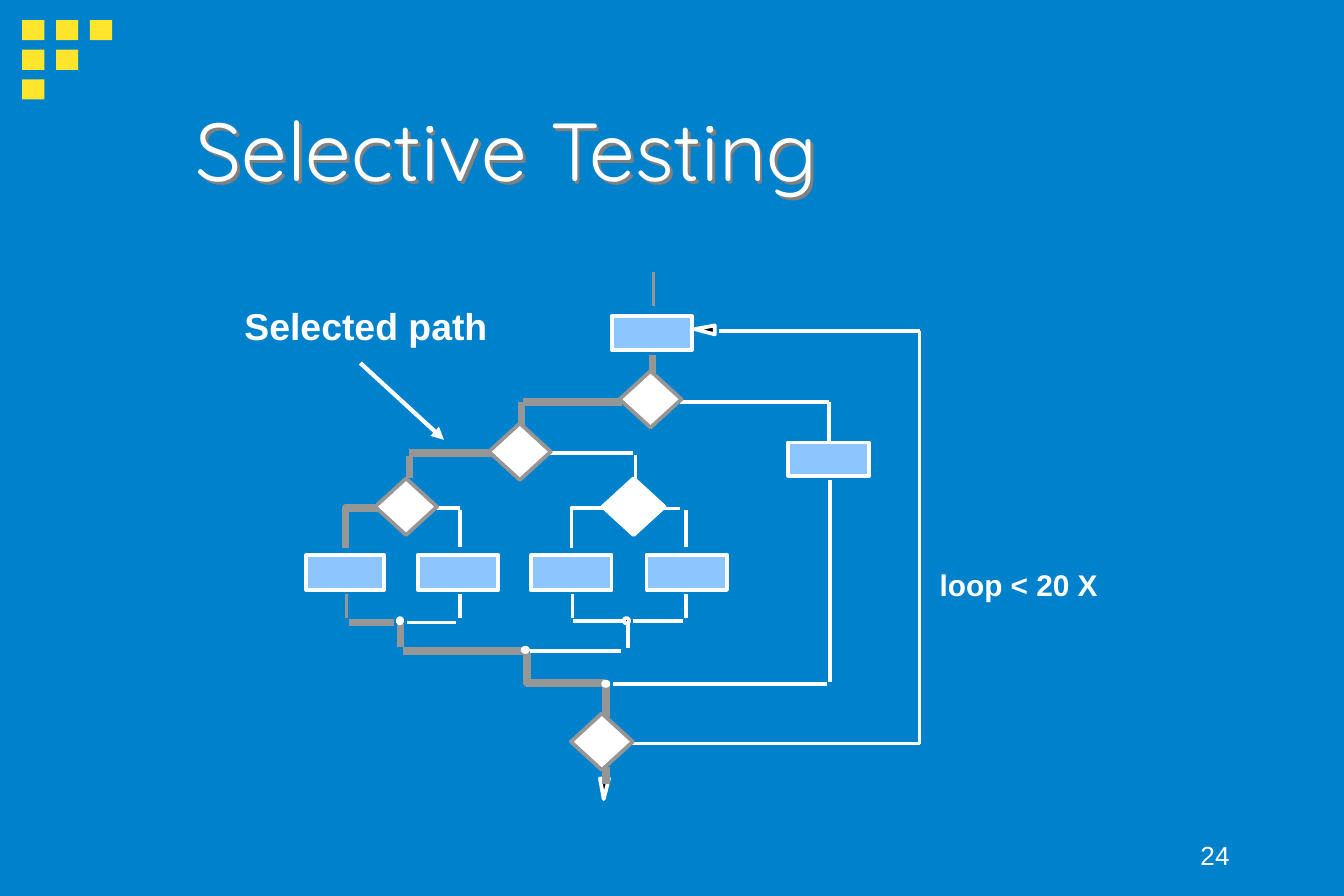
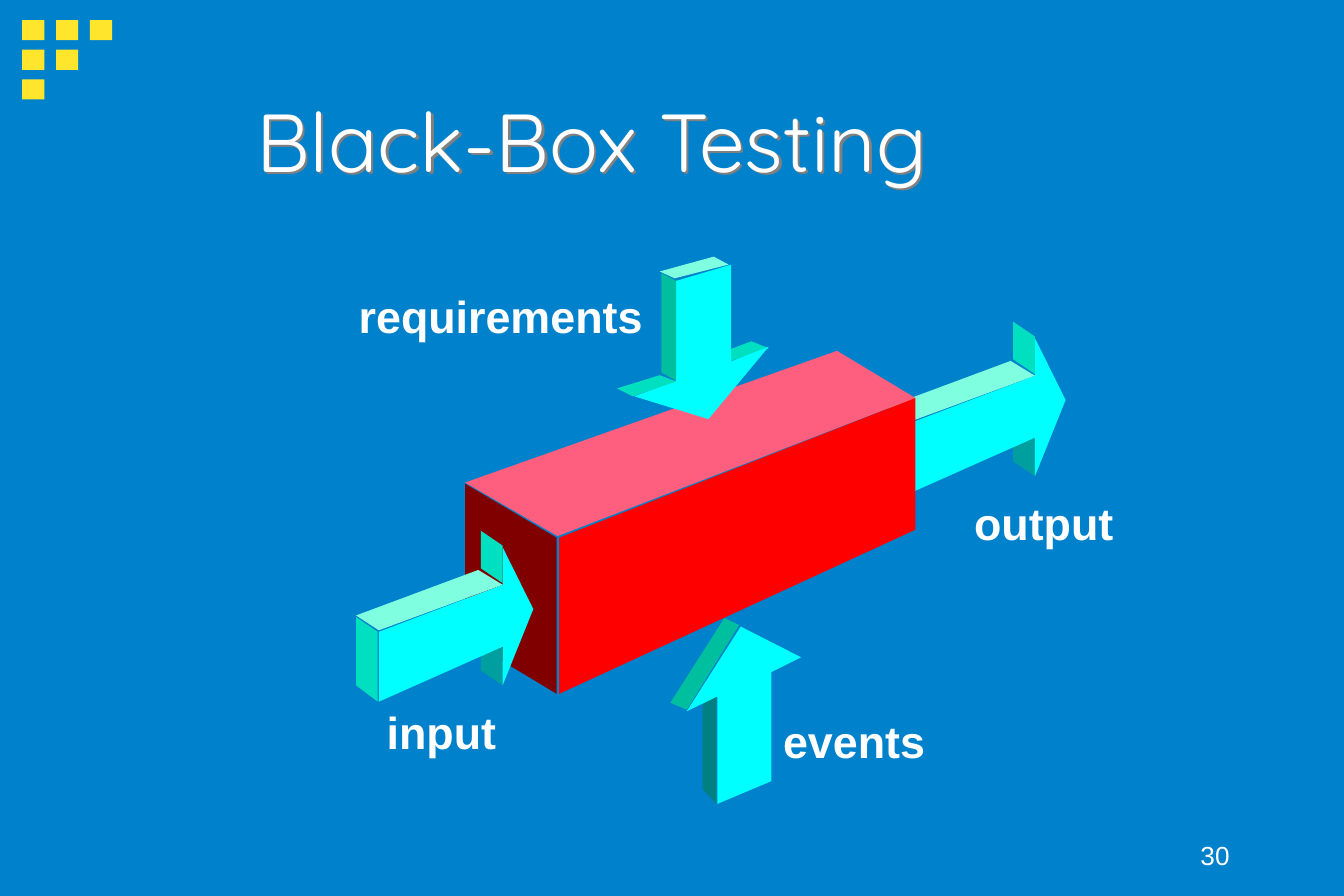
import lxml.etree
import pptx
import pptx.dml.color
import pptx.enum.shapes
import pptx.enum.text
import pptx.oxml.ns
import pptx.util

Cm = pptx.util.Cm
Pt = pptx.util.Pt
qn = pptx.oxml.ns.qn
SHAPE = pptx.enum.shapes.MSO_SHAPE
ANCHOR = pptx.enum.text.MSO_ANCHOR
ALIGN = pptx.enum.text.PP_ALIGN
AUTO_SIZE = pptx.enum.text.MSO_AUTO_SIZE

COLOURS = {
    name: pptx.dml.color.RGBColor.from_string(value)
    for name, value in {
        "background": "0081CB",
        "accent": "FFE62D",
        "white": "FFFFFF",
        "black": "000000",
        "shadow": "808080",
        "path": "969696",
        "step": "8DC6FF",
        "arrow front": "00FFFF",
        "arrow top": "7FFFDF",
        "arrow end": "00DFBF",
        "arrow side": "00BF9F",
        "arrow under": "009F9F",
        "arrow shade": "008080",
        "box front": "FF0000",
        "box top": "FF5F7F",
        "box end": "800000",
    }.items()
}


def add_text(slide, text, left, top, width, height, size=24, font="Arial", bold=False,
             align=ALIGN.LEFT, anchor=ANCHOR.TOP, wrap=False, shadow=False):
    box = slide.shapes.add_textbox(Cm(left), Cm(top), Cm(width), Cm(height))
    frame = box.text_frame
    frame.word_wrap = wrap
    frame.auto_size = AUTO_SIZE.NONE if wrap else AUTO_SIZE.SHAPE_TO_FIT_TEXT
    frame.vertical_anchor = anchor
    paragraph = frame.paragraphs[0]
    paragraph.alignment = align
    run = paragraph.add_run()
    run.text = text
    run.font.size = Pt(size)
    run.font.bold = bold
    run.font.color.rgb = COLOURS["white"]
    run.font.name = font
    if shadow:
        effects = lxml.etree.SubElement(box.element.spPr, qn("a:effectLst"))
        outer = lxml.etree.SubElement(effects, qn("a:outerShdw"), dist="25400", dir="2700000")
        lxml.etree.SubElement(outer, qn("a:srgbClr"), val=str(COLOURS["shadow"]))


def add_outline(slide, points, fill=None, line=None, width=2, shift=(0, 0)):
    """Draw a closed outline when a fill is given, else an open one; points in cm."""
    corners = [(Cm(x + shift[0]), Cm(y + shift[1])) for x, y in points]
    builder = slide.shapes.build_freeform(*corners[0])
    builder.add_line_segments(corners[1:], close=fill is not None)
    shape = builder.convert_to_shape()
    shape.shadow.inherit = False
    if fill:
        shape.fill.solid()
        shape.fill.fore_color.rgb = COLOURS[fill]
    else:
        shape.fill.background()
    if line:
        shape.line.color.rgb = COLOURS[line]
        shape.line.width = Pt(width)
    else:
        shape.line.fill.background()


presentation = pptx.Presentation()
presentation.slide_width = Cm(25.4)
presentation.slide_height = Cm(16.93)
master_fill = presentation.slide_master.background.fill
master_fill.solid()
master_fill.fore_color.rgb = COLOURS["background"]

# Both slides: corner squares, title and page number
slides = []
for title, number, left, top, width in [
    ("Selective Testing", "24", 3.45, 2.44, 18.67),
    ("Black-Box Testing", "30", 4.59, 2.26, 16.87),
]:
    slide = presentation.slides.add_slide(presentation.slide_layouts[6])
    slides.append(slide)
    for row in range(3):
        for column in range(3 - row):
            square = slide.shapes.add_shape(
                SHAPE.RECTANGLE, Cm(0.42 + 0.64 * column), Cm(0.38 + 0.56 * row), Cm(0.42), Cm(0.38))
            square.shadow.inherit = False
            square.fill.solid()
            square.fill.fore_color.rgb = COLOURS["accent"]
            square.line.fill.background()
    add_text(slide, number, 18.21, 15.45, 5.28, 1.12, size=14,
             align=ALIGN.RIGHT, anchor=ANCHOR.BOTTOM, wrap=True)
    add_text(slide, title, left, top, width, 0.74, size=44, font="Quicksand",
             anchor=ANCHOR.MIDDLE, wrap=True, shadow=True)
flow_slide, box_slide = slides

# Selective Testing: bent lines and hollow arrowheads
for colour, width, points in [
    ("path", 4, [(7.16, 9.6), (6.53, 9.6), (6.53, 10.36)]),
    ("path", 4, [(9.96, 12.34), (9.96, 12.91), (11.43, 12.91)]),
    ("white", 2, [(11.43, 9.6), (10.8, 9.6), (10.8, 10.36)]),
    ("white", 2, [(11.91, 14.05), (17.38, 14.05), (17.38, 6.25)]),
]:
    add_outline(flow_slide, points, line=colour, width=width)
for points in [
    [(13.13, 6.22), (13.51, 6.15), (13.51, 6.32)],
    [(11.41, 15.1), (11.34, 14.71), (11.51, 14.71)],
]:
    add_outline(flow_slide, points, fill="black", line="white")

# Straight lines: colour, width, then start and end of each
line_groups = [
    ("white", 2, [
        (13.59, 6.26, 17.38, 6.26), (12.85, 7.6, 15.66, 7.6), (15.66, 7.6, 15.66, 8.36),
        (8.18, 9.6, 8.69, 9.6), (8.69, 9.63, 8.69, 10.34), (8.69, 11.23, 8.69, 11.68),
        (10.36, 8.56, 11.96, 8.56), (12.01, 8.59, 12.01, 9.07), (12.52, 9.61, 12.85, 9.61),
        (12.96, 9.63, 12.96, 10.34), (12.96, 11.23, 12.96, 11.68), (10.82, 11.23, 10.82, 11.68),
        (10.82, 11.74, 11.89, 11.74), (11.96, 11.74, 12.9, 11.74), (11.87, 11.76, 11.87, 12.24),
        (11.74, 12.3, 10.01, 12.3), (15.68, 9.07, 15.68, 12.88), (11.58, 12.93, 15.62, 12.93),
        (7.7, 11.76, 8.61, 11.76),
    ]),
    ("path", 2, [(12.35, 5.14, 12.35, 5.79), (6.55, 11.23, 6.55, 11.68)]),
    ("path", 4, [
        (12.33, 6.71, 12.33, 7.06), (11.76, 7.6, 9.88, 7.6), (9.86, 8.08, 9.86, 7.6),
        (9.37, 8.56, 7.73, 8.56), (7.74, 8.61, 7.74, 9.04), (6.6, 11.76, 7.44, 11.76),
        (7.57, 11.79, 7.57, 12.22), (7.62, 12.3, 9.88, 12.3), (11.45, 13.54, 11.45, 12.9),
        (11.45, 14.81, 11.45, 14.5),
    ]),
    ("white", 2.25, [(6.81, 6.86, 8.39, 8.31)]),
]
connector_ends = {}
for colour, width, lines in line_groups:
    for start_x, start_y, end_x, end_y in lines:
        connector = flow_slide.shapes.add_connector(
            pptx.enum.shapes.MSO_CONNECTOR.STRAIGHT, Cm(start_x), Cm(start_y), Cm(end_x), Cm(end_y))
        connector.line.color.rgb = COLOURS[colour]
        connector.line.width = Pt(width)
        lxml.etree.SubElement(connector.element.spPr, qn("a:effectLst"))
        connector_ends[end_x, end_y] = connector
# The last line points from the label to the selected path
lxml.etree.SubElement(connector.element.spPr.find(qn("a:ln")), qn("a:tailEnd"), type="triangle")

# Steps, junctions and decisions, joined to the lines that end on top of them
node_groups = [
    (SHAPE.RECTANGLE, "step", "white", [
        (11.56, 5.97, 1.52, 0.64), (14.9, 8.36, 1.52, 0.64), (5.79, 10.49, 1.47, 0.66),
        (7.9, 10.49, 1.52, 0.66), (10.04, 10.49, 1.52, 0.66), (12.22, 10.49, 1.52, 0.66),
    ]),
    (SHAPE.OVAL, "black", "white", [
        (11.79, 11.68, 0.1, 0.1), (7.52, 11.68, 0.08, 0.1),
        (9.88, 12.24, 0.1, 0.08), (11.4, 12.88, 0.1, 0.08),
    ]),
    (SHAPE.DIAMOND, "white", "path", [
        (left, top, 1.17, 1.07)
        for left, top in [(11.71, 7.01), (9.24, 8), (7.09, 9.04), (10.79, 13.48)]
    ]),
    (SHAPE.DIAMOND, "white", "white", [(11.39, 9.04, 1.17, 1.07)]),
]
for kind, fill, line, places in node_groups:
    for left, top, width, height in places:
        node = flow_slide.shapes.add_shape(kind, Cm(left), Cm(top), Cm(width), Cm(height))
        node.shadow.inherit = False
        node.fill.solid()
        node.fill.fore_color.rgb = COLOURS[fill]
        node.line.color.rgb = COLOURS[line]
        node.line.width = Pt(2)
        top_middle = (round(left + width / 2, 2), top)
        if kind == SHAPE.RECTANGLE and top_middle in connector_ends:
            connector_ends[top_middle].end_connect(node, 0)

add_text(flow_slide, "loop < 20 X", 17.51, 10.59, 3.51, 0.91, size=16, bold=True)
add_text(flow_slide, "Selected path", 4.37, 5.61, 5.11, 1.09, size=20, bold=True)

# Black-Box Testing: faces of each solid, from back to front
flow_arrow = [
    ("arrow under", [(9.5, 12.95), (9.5, 12.24), (9.09, 11.94), (9.09, 12.67)]),
    ("arrow front", [(9.5, 11.05), (7.16, 11.94), (7.16, 13.26), (9.5, 12.22),
                     (9.5, 12.95), (10.08, 11.51), (9.5, 10.34)]),
    ("arrow end", [(7.14, 11.94), (7.14, 13.26), (6.73, 12.95), (6.73, 11.66)]),
    ("arrow top", [(6.73, 11.63), (7.16, 11.91), (9.5, 11.05), (9.04, 10.77)]),
    ("arrow end", [(9.5, 10.31), (9.09, 10.03), (9.09, 10.74), (9.5, 11.02)]),
]
events_arrow = [
    ("arrow shade", [(13.54, 15.19), (13.54, 13.16), (13.28, 13), (13.28, 14.91)]),
    ("arrow front", [(14, 11.84), (15.14, 12.42), (14.58, 12.7), (14.58, 14.76),
                     (13.56, 15.19), (13.56, 13.16), (12.98, 13.44)]),
    ("arrow side", [(12.98, 13.41), (12.67, 13.28), (13.69, 11.68), (13.97, 11.81)]),
]
black_box = [
    ("box end", [(8.79, 9.14), (10.52, 10.16), (10.52, 13.11), (8.79, 12.07)]),
    ("box top", [(8.79, 9.12), (10.54, 10.13), (17.3, 7.52), (15.82, 6.63)]),
    ("box front", [(10.57, 10.16), (10.57, 13.11), (17.3, 10.01), (17.3, 7.52)]),
]
requirements_arrow = [
    ("arrow top", [(12.47, 5.13), (12.75, 5.26), (13.77, 5), (13.49, 4.85)]),
    ("arrow end", [(13.79, 6.83), (14.53, 6.58), (14.2, 6.45), (13.51, 6.71)]),
    ("arrow front", [(12.78, 5.31), (13.82, 5), (13.82, 6.83), (14.53, 6.55),
                     (13.39, 7.92), (11.99, 7.49), (12.78, 7.19)]),
    ("arrow end", [(11.96, 7.49), (11.66, 7.34), (12.47, 7.09), (12.78, 7.21)]),
    ("arrow side", [(12.5, 7.04), (12.78, 7.19), (12.78, 5.31), (12.5, 5.16)]),
]
for faces, shift in [
    (flow_arrow, (10.06, -3.95)),  # output
    (events_arrow, (0, 0)),
    (black_box, (0, 0)),
    (requirements_arrow, (0, 0)),
    (flow_arrow, (0, 0)),  # input
]:
    for colour, points in faces:
        add_outline(box_slide, points, fill=colour, shift=shift)

for label, left, top, width in [
    ("requirements", 6.53, 5.33, 5.87),
    ("events", 14.55, 13.36, 3.2),
    ("input", 7.06, 13.19, 2.57),
    ("output", 18.16, 9.25, 3.15),
]:
    add_text(box_slide, label, left, top, width, 1.27, bold=True)

presentation.save("out.pptx")
